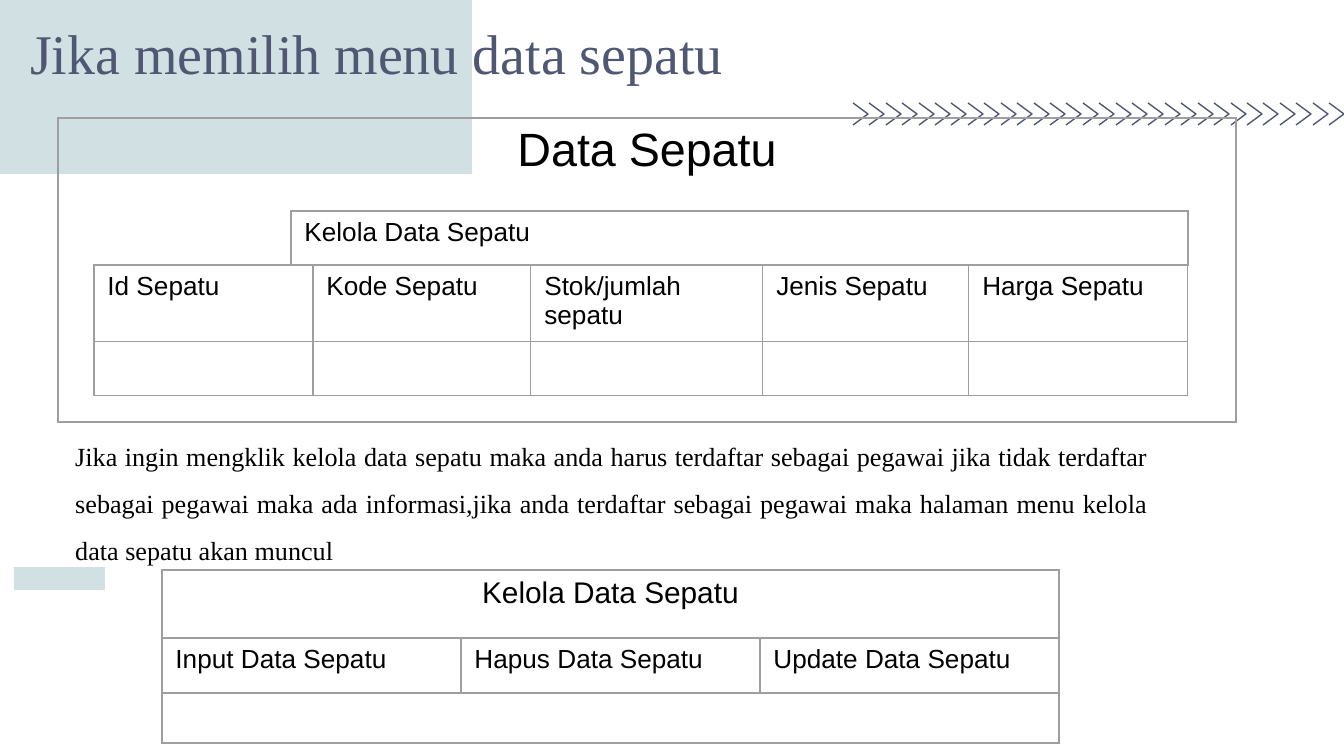
from lxml.etree import SubElement
from pptx import Presentation
from pptx.dml.color import RGBColor
from pptx.enum.shapes import MSO_SHAPE
from pptx.enum.text import MSO_ANCHOR, PP_ALIGN
from pptx.oxml.ns import qn
from pptx.util import Emu, Pt

SLIDE_WIDTH, SLIDE_HEIGHT = 1344, 756
EMU_PER_PX = 9144000 / SLIDE_WIDTH
COLORS = {
    "panel": "D0E0E3",
    "accent": "4F5773",
    "text": "000000",
    "border": "9E9E9E",
}


def px(length):
    return Emu(round(length * EMU_PER_PX))


class SlideBuilder:
    heading_font = "Times New Roman"
    table_font = "Arial"
    line_width = Pt(0.75)

    def __init__(self, slide):
        self.slide = slide

    def color(self, name):
        return RGBColor.from_string(COLORS[name])

    def style(self, paragraph, size, font, color="text", align=PP_ALIGN.LEFT):
        paragraph.alignment = align
        paragraph.font.size = Pt(size)
        paragraph.font.name = font
        paragraph.font.color.rgb = self.color(color)

    def rectangle(self, left, top, width, height):
        shape = self.slide.shapes.add_shape(
            MSO_SHAPE.RECTANGLE, px(left), px(top), px(width), px(height))
        shape.shadow.inherit = False
        shape.fill.solid()
        shape.fill.fore_color.rgb = self.color("panel")
        shape.line.fill.background()

    def chevrons(self, left, top, width, height, count, right):
        group = self.slide.shapes.add_group_shape()
        step = (right - left - width) / (count - 1)
        for index in range(count):
            x = round(left + index * step)
            builder = group.shapes.build_freeform(x, top, scale=EMU_PER_PX)
            builder.add_line_segments(
                [(x + width, top + height / 2), (x, top + height)], close=False)
            chevron = builder.convert_to_shape()
            chevron.shadow.inherit = False
            chevron.fill.background()
            chevron.line.color.rgb = self.color("accent")
            chevron.line.width = self.line_width

    def text(self, left, top, width, height, text, size, color="text",
             align=PP_ALIGN.LEFT, anchor=MSO_ANCHOR.TOP, spacing=1.0):
        box = self.slide.shapes.add_textbox(px(left), px(top), px(width), px(height))
        frame = box.text_frame
        frame.word_wrap = True
        frame.vertical_anchor = anchor
        paragraph = frame.paragraphs[0]
        paragraph.text = text
        paragraph.line_spacing = spacing
        self.style(paragraph, size, self.heading_font, color, align)

    def border(self, cell):
        properties = cell._tc.get_or_add_tcPr()
        for index, side in enumerate(("lnL", "lnR", "lnT", "lnB")):
            line = SubElement(properties, qn(f"a:{side}"), w=str(self.line_width))
            fill = SubElement(line, qn("a:solidFill"))
            SubElement(fill, qn("a:srgbClr"), val=COLORS["border"])
            properties.insert(index, line)

    def table(self, left, top, columns, rows, texts, size=14, align=PP_ALIGN.LEFT):
        table = self.slide.shapes.add_table(
            len(rows), len(columns), px(left), px(top),
            px(sum(columns)), px(sum(rows))).table
        table.first_row = table.horz_banding = False
        for column, width in zip(table.columns, columns):
            column.width = px(width)
        for row, height, row_texts in zip(table.rows, rows, texts):
            row.height = px(height)
            for cell, text in zip(row.cells, row_texts):
                cell.fill.background()
                self.border(cell)
                cell.text = text
                self.style(cell.text_frame.paragraphs[0], size,
                           self.table_font, align=align)


def main():
    presentation = Presentation()
    presentation.slide_width = px(SLIDE_WIDTH)
    presentation.slide_height = px(SLIDE_HEIGHT)
    slide = presentation.slides.add_slide(presentation.slide_layouts[6])
    builder = SlideBuilder(slide)

    # Background decoration
    builder.rectangle(14, 567, 91, 23)
    builder.rectangle(0, 0, 472, 174)
    builder.chevrons(853, 103, 15, 22, count=30, right=SLIDE_WIDTH)

    # Title
    builder.text(17, 17, 1134, 70, "Jika memilih menu data sepatu", 30,
                 color="accent", anchor=MSO_ANCHOR.MIDDLE)

    # Shoe data page: frame, column table, menu bar
    builder.table(58, 118, [1178], [304], [["Data Sepatu"]], 25, PP_ALIGN.CENTER)
    headers = ["Id Sepatu", "Kode Sepatu", "Stok/jumlah sepatu",
               "Jenis Sepatu", "Harga Sepatu"]
    builder.table(94, 265, [219, 218, 232, 206, 219], [73, 54],
                  [headers, [""] * len(headers)])
    builder.table(291, 211, [897], [54], [["Kelola Data Sepatu"]])

    # Explanation
    builder.text(62, 418, 1100, 151,
                 "Jika ingin mengklik kelola data sepatu maka anda harus terdaftar "
                 "sebagai pegawai jika tidak terdaftar sebagai pegawai maka ada "
                 "informasi,jika anda terdaftar sebagai pegawai maka halaman menu "
                 "kelola data sepatu akan muncul",
                 14, align=PP_ALIGN.JUSTIFY, spacing=1.5)

    # Manage shoe data page: frame and action row
    builder.table(162, 570, [897], [173], [["Kelola Data Sepatu"]], 16,
                  PP_ALIGN.CENTER)
    builder.table(162, 638, [299] * 3, [55],
                  [["Input Data Sepatu", "Hapus Data Sepatu", "Update Data Sepatu"]])

    presentation.save("out.pptx")


if __name__ == "__main__":
    main()
